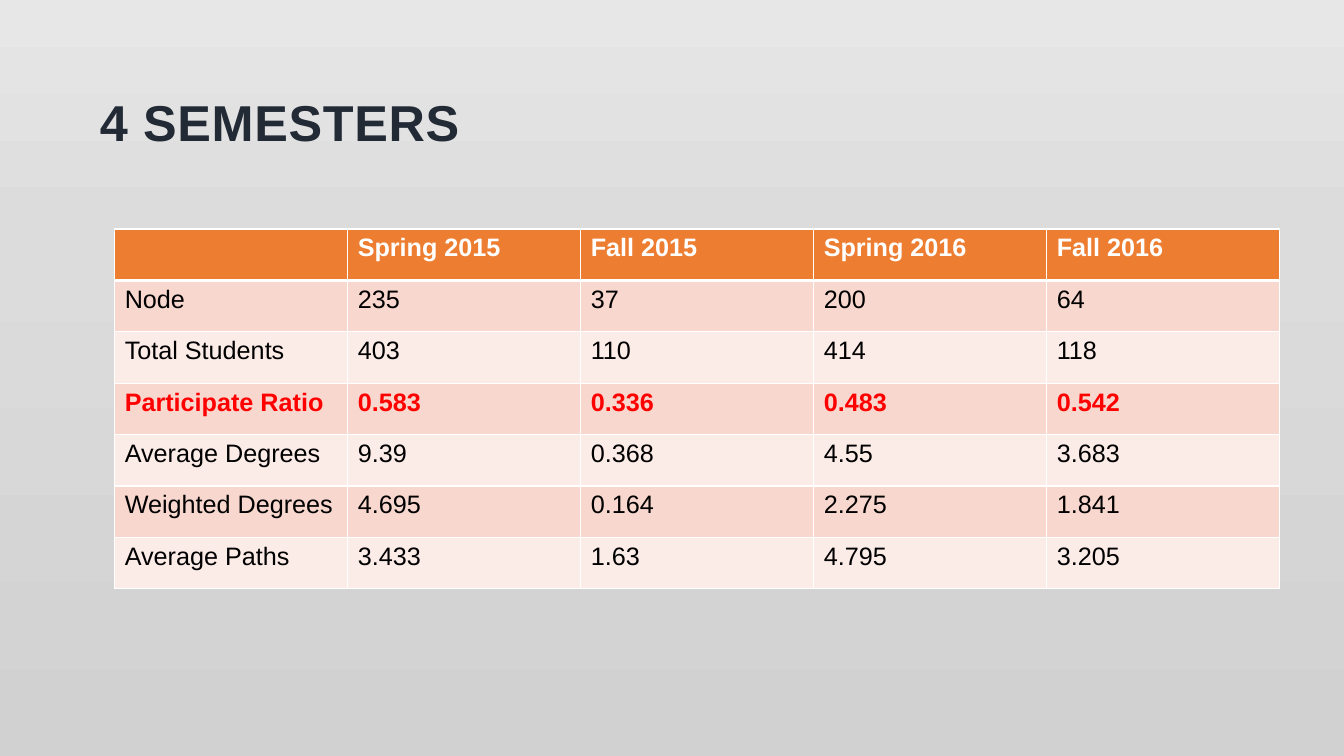
from dataclasses import dataclass

from lxml import etree
from pptx import Presentation
from pptx import util as u
from pptx.dml.color import RGBColor
from pptx.enum import text
from pptx.oxml import ns


@dataclass(frozen=True)
class Theme:
    font: str = "Arial"
    title_size: int = 36
    table_size: int = 18
    title: str = "222A35"
    header_text: str = "FFFFFF"
    body_text: str = "000000"
    highlight: str = "FF0000"
    header_fill: str = "ED7D31"
    bands: tuple = ("F8D7CE", "FCECE8")
    border: str = "FFFFFF"
    background: tuple = ((0, "E8E7E7"), (31, "DDDCDC"), (100, "D2D1D1"))


THEME = Theme()
TITLE_BOX = (2.26, 0.76, 29.36, 3.18)
TABLE_BOX = (2.89, 5.77, 29.36, 9.07)
HIGHLIGHT_ROW = 3
SEMESTERS = [
    ("", "Spring 2015", "Fall 2015", "Spring 2016", "Fall 2016"),
    ("Node", "235", "37", "200", "64"),
    ("Total Students", "403", "110", "414", "118"),
    ("Participate Ratio", "0.583", "0.336", "0.483", "0.542"),
    ("Average Degrees", "9.39", "0.368", "4.55", "3.683"),
    ("Weighted Degrees", "4.695", "0.164", "2.275", "1.841"),
    ("Average Paths", "3.433", "1.63", "4.795", "3.205"),
]


def add_run(paragraph, wording, size, color, bold):
    run = paragraph.add_run()
    run.text = wording
    run.font.name = THEME.font
    run.font.size = u.Pt(size)
    run.font.bold = bold
    run.font.color.rgb = RGBColor.from_string(color)
    return run


def add_color(parent, color):
    etree.SubElement(parent, ns.qn("a:srgbClr"), val=color)


def paint_background(slide):
    fill = slide.background.fill
    fill.gradient()
    fill.gradient_angle = 270
    stops = next(slide.element.iter(ns.qn("a:gsLst")))
    for stop in list(stops):
        stops.remove(stop)
    for percent, color in THEME.background:
        stop = etree.SubElement(stops, ns.qn("a:gs"), pos=str(percent * 1000))
        add_color(stop, color)


def fill_title(slide, box, wording):
    title = slide.shapes.title
    title.left, title.top, title.width, title.height = map(u.Cm, box)
    frame = title.text_frame
    frame.auto_size = text.MSO_AUTO_SIZE.NONE
    frame.word_wrap = True
    frame.vertical_anchor = text.MSO_ANCHOR.BOTTOM
    paragraph = frame.paragraphs[0]
    paragraph.alignment = text.PP_ALIGN.LEFT
    run = add_run(paragraph, wording, THEME.title_size, THEME.title, True)
    run.font._element.set("spc", "50")


def draw_borders(cell, top, bottom):
    """Draw the four sides; top and bottom are widths in points."""
    properties = cell._tc.get_or_add_tcPr()
    for side, width in (("L", 1), ("R", 1), ("T", top), ("B", bottom)):
        line = etree.SubElement(properties, ns.qn(f"a:ln{side}"), w=str(u.Pt(width)))
        add_color(etree.SubElement(line, ns.qn("a:solidFill")), THEME.border)


def row_style(row):
    """Return fill, text colour and weight for a row."""
    if row == 0:
        return THEME.header_fill, THEME.header_text, True
    fill = THEME.bands[(row - 1) % 2]
    if row == HIGHLIGHT_ROW:
        return fill, THEME.highlight, True
    return fill, THEME.body_text, False


def add_semester_table(slide, box, rows):
    frame = slide.shapes.add_table(len(rows), len(rows[0]), *map(u.Cm, box))
    for row, values in enumerate(rows):
        fill, color, bold = row_style(row)
        for column, value in enumerate(values):
            cell = frame.table.cell(row, column)
            draw_borders(cell, 3 if row == 1 else 1, 3 if row == 0 else 1)
            cell.fill.solid()
            cell.fill.fore_color.rgb = RGBColor.from_string(fill)
            if value:
                paragraph = cell.text_frame.paragraphs[0]
                add_run(paragraph, value, THEME.table_size, color, bold)


def main():
    presentation = Presentation()
    presentation.slide_width = u.Cm(33.87)
    presentation.slide_height = u.Cm(19.05)
    title_only = presentation.slide_layouts.get_by_name("Title Only")
    slide = presentation.slides.add_slide(title_only)
    paint_background(slide)
    fill_title(slide, TITLE_BOX, "4 SEMESTERS")
    add_semester_table(slide, TABLE_BOX, SEMESTERS)
    presentation.save("out.pptx")


if __name__ == "__main__":
    main()
